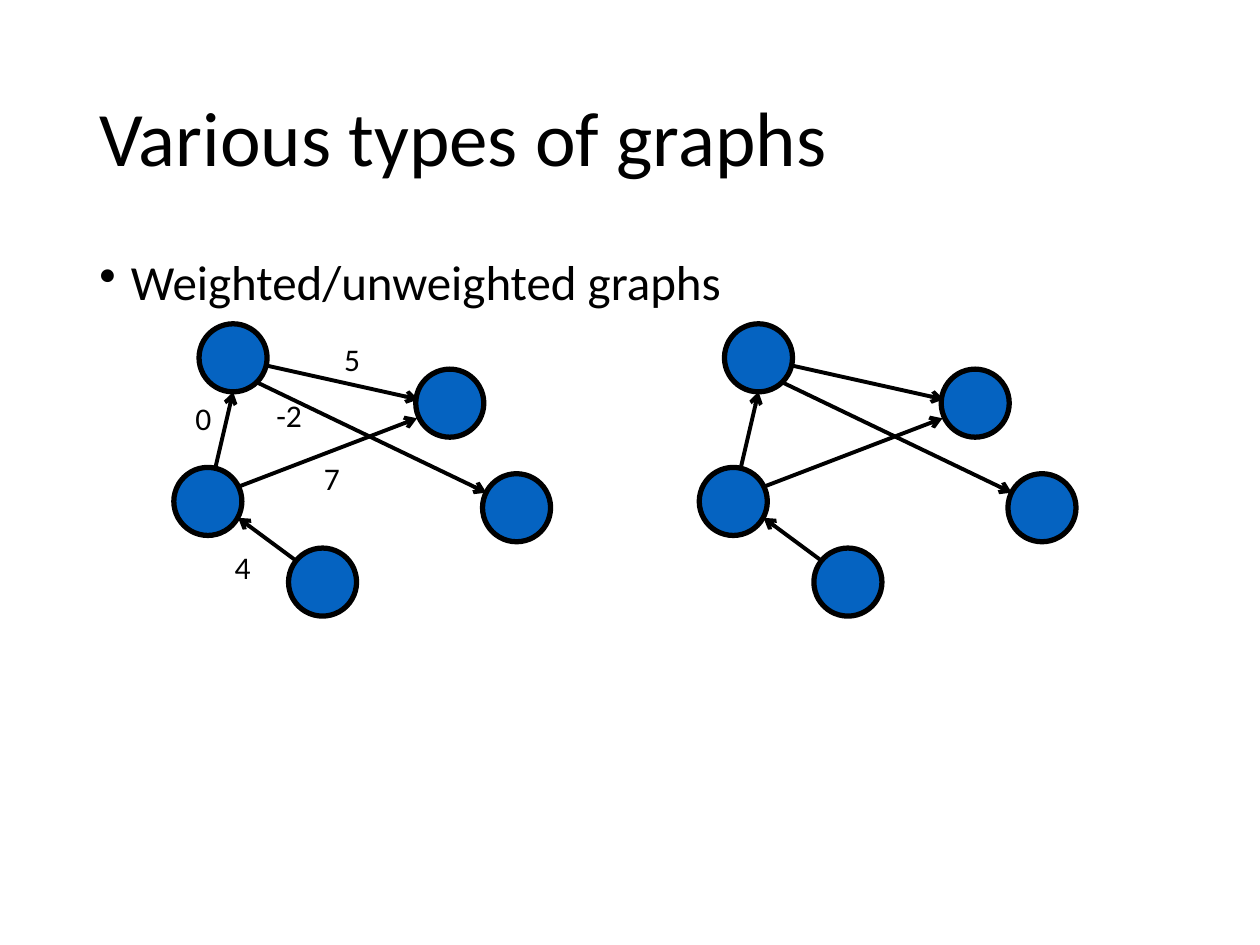
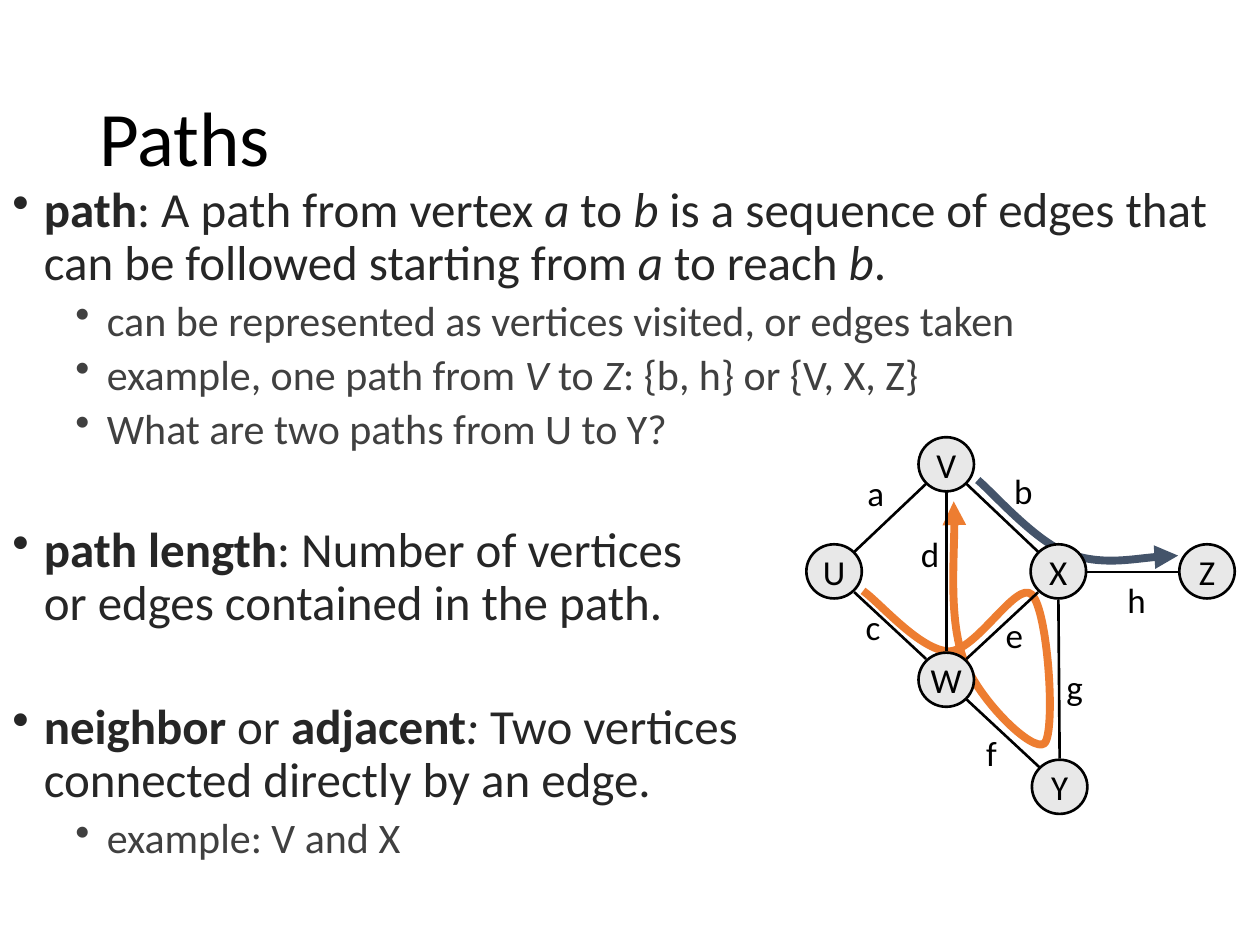
from lxml import etree
from pptx import Presentation
from pptx.dml.color import RGBColor
from pptx.enum.shapes import MSO_CONNECTOR, MSO_SHAPE
from pptx.enum.text import MSO_ANCHOR, PP_ALIGN
from pptx.oxml.ns import qn
from pptx.util import Pt

ELLIPSE = MSO_SHAPE.OVAL
STRAIGHT = MSO_CONNECTOR.STRAIGHT
MIDDLE = MSO_ANCHOR.MIDDLE
CENTER = PP_ALIGN.CENTER
PX = 9144
BLACK, BLUE, GRAY = "000000", "0563C1", "E8E8E8"
ORANGE, SLATE = "ED7D31", "44546A"
BOLD, ITALIC = {"bold": True}, {"italic": True}

TITLE = {"size": 44, "color": BLACK, "line_spacing": 0.9}
TOPIC = {"size": 28, "color": BLACK, "line_spacing": 0.9, "indent": 25}
TERM = TOPIC | {"color": "262626"}
DETAIL = TERM | {"size": 24, "color": "404040", "indent": 75, "space_before": Pt(5)}
WEIGHT = {"size": 18, "color": BLACK, "alignment": CENTER}
LETTER = WEIGHT | {"size": 20}


def write(shape, paragraphs, **frame_format):
    frame = shape.text_frame
    for name, value in ({"word_wrap": True} | frame_format).items():
        setattr(frame, name, value)
    for index, (style, runs) in enumerate(paragraphs):
        paragraph = frame.add_paragraph() if index else frame.paragraphs[0]
        if "indent" in style:
            properties = paragraph._p.get_or_add_pPr()
            properties.set("marL", str(style["indent"] * PX))
            properties.set("indent", str(-25 * PX))
            etree.SubElement(properties, qn("a:buChar")).set("char", "•")
        for name in ("line_spacing", "space_before", "alignment"):
            if name in style:
                setattr(paragraph, name, style[name])
        for text, emphasis in runs:
            for part, line in enumerate(text.split("\n")):
                if part:
                    paragraph.add_line_break()
                run = paragraph.add_run()
                run.text = line
                font_format = {"name": "Calibri", "size": Pt(style["size"])} | emphasis
                for name, value in font_format.items():
                    setattr(run.font, name, value)
                run.font.color.rgb = RGBColor.from_string(style["color"])


def outline(shape, color, width, arrow=None):
    shape.line.color.rgb = RGBColor.from_string(color)
    shape.line.width = Pt(width)
    properties = shape._element.spPr
    if arrow:
        etree.SubElement(properties.find(qn("a:ln")), qn("a:tailEnd")).set("type", arrow)
    etree.SubElement(properties, qn("a:effectLst"))


presentation = Presentation()
presentation.slide_width = 1000 * PX
presentation.slide_height = 750 * PX
slides = []
for heading in ("Various types of graphs", "Paths"):
    slide = presentation.slides.add_slide(presentation.slide_layouts[6])
    title = slide.shapes.add_textbox(69 * PX, 40 * PX, 862 * PX, 145 * PX)
    write(title, [(TITLE, [(heading, {})])], vertical_anchor=MIDDLE)
    slides.append(slide)
types_slide, paths_slide = slides

topic = types_slide.shapes.add_textbox(69 * PX, 200 * PX, 862 * PX, 476 * PX)
write(topic, [(TOPIC, [("Weighted/unweighted graphs", {})])])

vertices = [(158, 257), (330, 293), (229, 435), (138, 371), (383, 376)]
directed_edges = [
    (211, 290, 332, 317),
    (171, 371, 185, 311),
    (235, 445, 189, 411),
    (205, 304, 386, 391),
    (190, 386, 331, 332),
]
for shift in (417, 0):
    for left, top in vertices:
        vertex = types_slide.shapes.add_shape(
            ELLIPSE, (left + shift) * PX, top * PX, 54 * PX, 54 * PX)
        vertex.fill.solid()
        vertex.fill.fore_color.rgb = RGBColor.from_string(BLUE)
        outline(vertex, BLACK, 3)
    for x1, y1, x2, y2 in directed_edges:
        edge = types_slide.shapes.add_connector(
            STRAIGHT, (x1 + shift) * PX, y1 * PX, (x2 + shift) * PX, y2 * PX)
        outline(edge, BLACK, 2.25, "arrow")

weights = [("5", 256, 265), ("-2", 206, 309), ("7", 240, 359),
           ("4", 169, 430), ("0", 138, 312)]
for text, left, top in weights:
    weight = types_slide.shapes.add_textbox(left * PX, top * PX, 47 * PX, 40 * PX)
    write(weight, [(WEIGHT, [(text, {})])])

after_topic = {"space_before": Pt(41)}
definitions = [
    (TERM, [("path", BOLD), (": A path from vertex ", {}), ("a", ITALIC), (" to ", {}),
            ("b", ITALIC),
            (" is a sequence of edges that can be followed starting from ", {}),
            ("a", ITALIC), (" to reach ", {}), ("b", ITALIC), (".", {})]),
    (DETAIL, [("can be represented as vertices visited, or edges taken", {})]),
    (DETAIL, [("example, one path from ", {}), ("V", ITALIC), (" to ", {}),
              ("Z", ITALIC), (": {b, h} or {V, X, Z}", {})]),
    (DETAIL, [("What are two paths from U to Y?", {})]),
    (TERM | after_topic, [("path length", BOLD),
                          (": Number of vertices\nor edges contained in the path.", {})]),
    (TERM | after_topic, [("neighbor ", BOLD), ("or ", {}), ("adjacent", BOLD),
                          (": ", ITALIC),
                          ("Two vertices\nconnected directly by an edge.", {})]),
    (DETAIL, [("example: V and X", {})]),
]
body = paths_slide.shapes.add_textbox(0, 142 * PX, 1000 * PX, 608 * PX)
write(body, definitions)

routes = [
    (ORANGE, [(685, 469), (699, 479), (730, 516), (753, 517), (775, 517), (807, 460),
              (819, 472), (832, 485), (838, 581), (829, 590), (820, 598), (777, 556),
              (765, 524), (753, 492), (759, 419), (757, 398)]),
    (SLATE, [(776, 381), (788, 391), (821, 429), (847, 439), (874, 449), (917, 441),
             (935, 441)]),
]
for color, (start, *controls) in routes:
    builder = paths_slide.shapes.build_freeform(*start, scale=PX)
    builder.add_line_segments(controls, close=False)
    route = builder.convert_to_shape()
    segments = list(route._element.iter(qn("a:lnTo")))
    for first in range(0, len(segments), 3):
        curve = etree.Element(qn("a:cubicBezTo"))
        segments[first].addprevious(curve)
        for segment in segments[first:first + 3]:
            curve.append(segment[0])
            segment.getparent().remove(segment)
    route.fill.background()
    outline(route, color, 4.5, "triangle")

named_vertices = {"X": (818, 432), "U": (640, 432), "V": (729, 347),
                  "W": (729, 518), "Z": (936, 432), "Y": (819, 603)}
for name, (left, top) in named_vertices.items():
    vertex = paths_slide.shapes.add_shape(ELLIPSE, left * PX, top * PX, 44 * PX, 43 * PX)
    vertex.fill.solid()
    vertex.fill.fore_color.rgb = RGBColor.from_string(GRAY)
    outline(vertex, BLACK, 1.5)
    write(vertex, [(LETTER, [(name, {})])], word_wrap=False, vertical_anchor=MIDDLE)

named_edges = {
    "a": ((735, 384, 678, 438), (678, 369)),
    "c": ((735, 523, 678, 470), (676, 476)),
    "e": ((767, 523, 824, 470), (788, 482)),
    "h": ((863, 454, 935, 454), (885, 454)),
    "b": ((767, 384, 824, 438), (795, 368)),
    "d": ((751, 390, 751, 517), (721, 418)),
    "f": ((767, 555, 825, 609), (770, 576)),
    "g": ((840, 476, 841, 602), (836, 523)),
}
for name, (ends, (left, top)) in named_edges.items():
    edge = paths_slide.shapes.add_connector(STRAIGHT, *[end * PX for end in ends])
    outline(edge, BLACK, 1.5)
    label = paths_slide.shapes.add_textbox(left * PX, top * PX, 34 * PX, 43 * PX)
    write(label, [(LETTER, [(name, {})])])

presentation.save("out.pptx")
